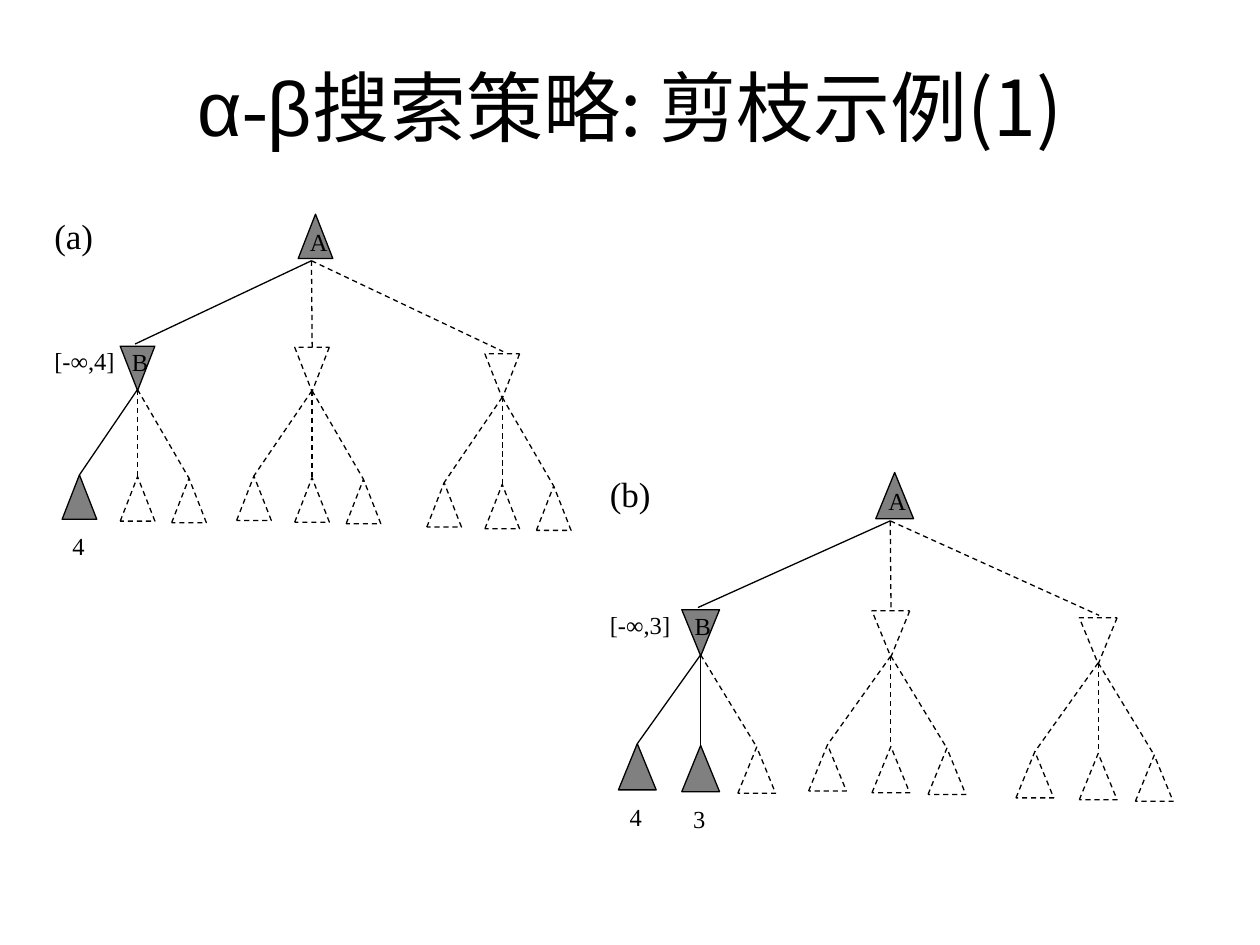
from lxml import etree
from pptx import Presentation
from pptx.dml.color import RGBColor
from pptx.enum import dml, shapes, text
from pptx.oxml import ns
from pptx.util import Pt

BLACK = RGBColor(0x00, 0x00, 0x00)
GRAY = RGBColor(0x80, 0x80, 0x80)
SERIF, SANS, CHINESE = "Times New Roman", "Arial", "Noto Sans CJK SC"

NODE_WIDTH, NODE_HEIGHT = 19.8, 25.4
ROOT_CENTER = 149.3
ROOT_EDGE_START = (147, 26.6)
BRANCHES = [(47.6, 75.4), (147.3, 76), (256, 79.8)]
ROOT_EDGE_ENDS = [(46.2, 74.2), (147.4, 76), (256.5, 78.5)]
LEAVES = [(-33.2, 73.6), (0, 74.6), (29.4, 75.5)]


def style_line(line, visited):
    """Draw a thin black line, dashed for unvisited parts."""
    line.color.rgb = BLACK
    line.width = Pt(0.75)
    if not visited:
        line.dash_style = dml.MSO_LINE.DASH


def add_label(container, left, top, width, height, label, size):
    """Add a serif label without margins."""
    box = container.add_textbox(Pt(left), Pt(top), Pt(width), Pt(height))
    frame = box.text_frame
    frame.word_wrap = True
    frame.margin_left = frame.margin_right = 0
    frame.margin_top = frame.margin_bottom = 0
    paragraph = frame.paragraphs[0]
    paragraph.text = label
    paragraph.font.size = Pt(size)
    paragraph.font.name = SERIF
    paragraph.font.color.rgb = BLACK


def add_title(slide, left, top, width, height):
    """Add the centred title with its mixed scripts."""
    box = slide.shapes.add_textbox(Pt(left), Pt(top), Pt(width), Pt(height))
    frame = box.text_frame
    frame.word_wrap = True
    frame.vertical_anchor = text.MSO_ANCHOR.MIDDLE
    paragraph = frame.paragraphs[0]
    paragraph.alignment = text.PP_ALIGN.CENTER
    paragraph.font.size = Pt(44)
    paragraph.font.color.rgb = BLACK
    pieces = [("α", SANS), ("-", SERIF), ("β", SANS), ("搜索策略: 剪枝示例(1)", CHINESE)]
    for piece, font_name in pieces:
        run = paragraph.add_run()
        run.text = piece
        run.font.name = font_name
        east_asian = etree.SubElement(run.font._element, ns.qn("a:ea"))
        east_asian.set("typeface", CHINESE)


def add_tree(slide, left, top, scale_x, scale_y, caption, bound, values):
    """Draw one search tree whose first leaves have been visited."""
    container = slide.shapes.add_group_shape().shapes

    def place(x, y):
        """Turn tree coordinates into slide coordinates."""
        return left + x * scale_x, top + y * scale_y

    def add_node(center, y, visited, inverted=False):
        """Add a triangle hung from the middle of its top side."""
        x, y = place(center - NODE_WIDTH / 2, y)
        node = container.add_shape(
            shapes.MSO_SHAPE.ISOSCELES_TRIANGLE, Pt(x), Pt(y),
            Pt(NODE_WIDTH * scale_x), Pt(NODE_HEIGHT * scale_y))
        node.shadow.inherit = False
        node.rotation = 180 if inverted else 0
        if visited:
            node.fill.solid()
            node.fill.fore_color.rgb = GRAY
        else:
            node.fill.background()
        style_line(node.line, visited)

    def add_edge(start, end, visited):
        """Add a straight edge between two points of the tree."""
        ends = [Pt(value) for point in (start, end) for value in place(*point)]
        edge = container.add_connector(shapes.MSO_CONNECTOR.STRAIGHT, *ends)
        style_line(edge.line, visited)
        etree.SubElement(edge._element.spPr, ns.qn("a:effectLst"))

    def add_tree_label(x, y, width, height, label, size=14):
        """Add a label at a point of the tree."""
        add_label(container, *place(x, y), width * scale_x, height * scale_y, label, size)

    add_node(ROOT_CENTER, 0, True)
    add_tree_label(ROOT_CENTER - 3.2, 7.2, 8, 17.4, "A")
    for branch, (center, y) in enumerate(BRANCHES):
        first = branch == 0
        add_node(center, y, first, inverted=True)
        add_edge(ROOT_EDGE_START, ROOT_EDGE_ENDS[branch], first)
        for index, (offset, drop) in enumerate(LEAVES):
            visited = first and index < len(values)
            leaf_x, leaf_y = center + offset, y + drop
            add_node(leaf_x, leaf_y, visited)
            add_edge((center, y + NODE_HEIGHT - 0.6), (leaf_x, leaf_y), visited)
            if visited:
                add_tree_label(leaf_x - 4, leaf_y + 32, 8, 17.4, values[index])
    add_tree_label(BRANCHES[0][0] - 3.2, 76, 8, 17.4, "B")
    add_tree_label(0, 75.4, 42.5, 20, bound)
    add_tree_label(0, 0, 32.4, 31.6, caption, 20)


def main():
    """Build the slide and save it."""
    presentation = Presentation()
    presentation.slide_width, presentation.slide_height = Pt(720), Pt(540)
    slide = presentation.slides.add_slide(presentation.slide_layouts[6])
    add_title(slide, 54, 31.7, 612, 57.6)
    add_tree(slide, 31, 122.4, 1, 1, "(a)", "[-∞,4]", ["4"])
    add_tree(slide, 348.5, 270, 1.09, 1.04, "(b)", "[-∞,3]", ["4", "3"])
    presentation.save("out.pptx")


if __name__ == "__main__":
    main()
